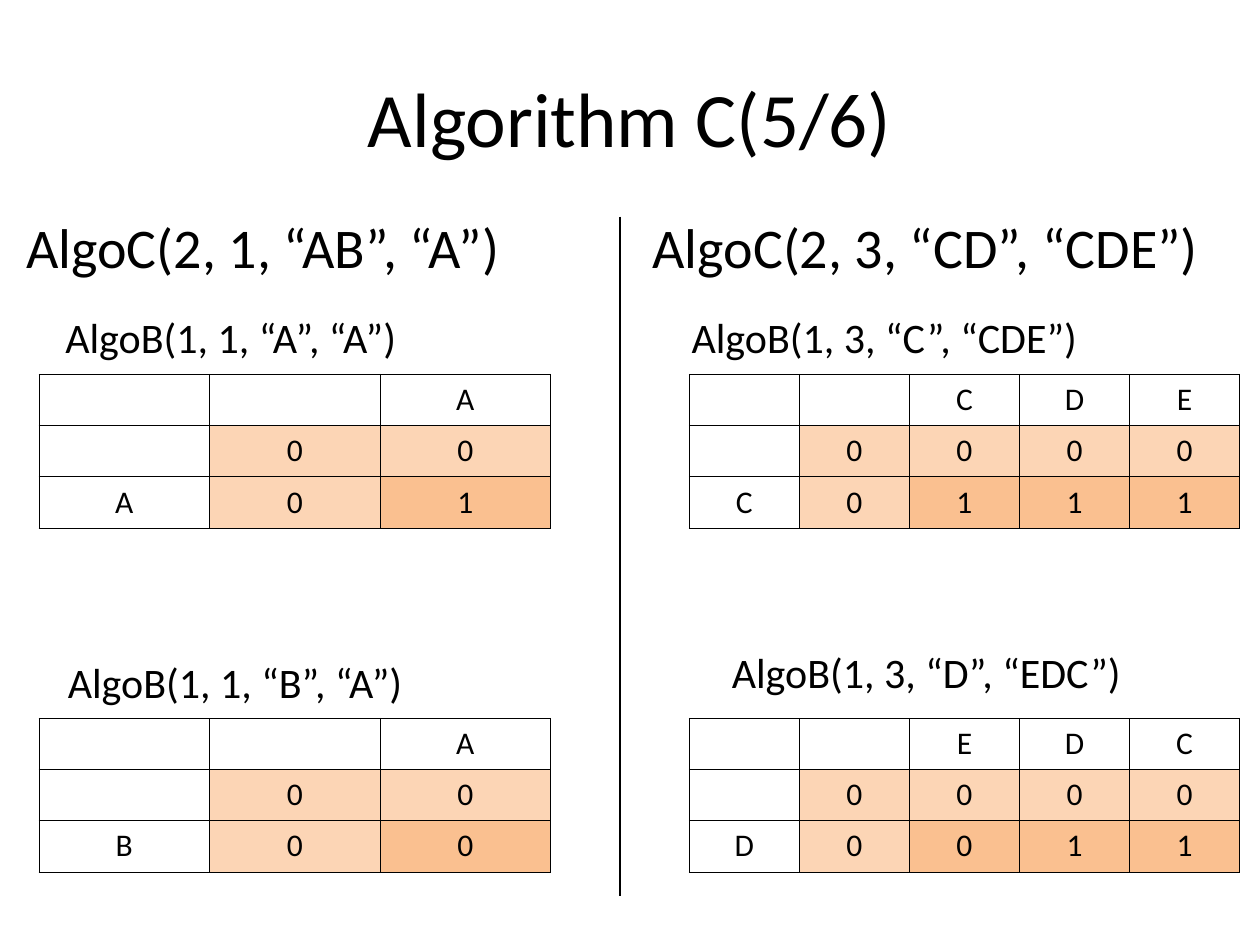
from lxml.etree import SubElement
from pptx import Presentation
from pptx.dml.color import RGBColor
from pptx.enum.shapes import MSO_CONNECTOR
from pptx.enum.text import MSO_ANCHOR, MSO_AUTO_SIZE, PP_ALIGN
from pptx.oxml import parse_xml
from pptx.oxml.ns import nsdecls, qn
from pptx.util import Inches, Pt

BLACK, LIGHT_ORANGE, ORANGE = "000000", "FCD5B5", "FAC090"


def color(value):
    return RGBColor.from_string(value)


class SlideBuilder:
    font_name = "Calibri"
    row_height = 0.407
    border_width = Pt(0.45)

    def __init__(self, page):
        self.page = page

    def format_para(self, para, size, align):
        para.alignment = align
        for span in para.runs:
            span.font.name = self.font_name
            span.font.size = Pt(size)
            span.font.color.rgb = color(BLACK)

    def title(self, text):
        box = self.page.shapes.title
        box.left, box.top = Inches(0.5), Inches(0.3)
        box.width, box.height = Inches(9), Inches(1.25)
        box.text_frame.text = text
        box.text_frame.vertical_anchor = MSO_ANCHOR.MIDDLE
        self.format_para(box.text_frame.paragraphs[0], 44, PP_ALIGN.CENTER)

    def label(self, text, left, top, width, height, size):
        box = self.page.shapes.add_textbox(
            Inches(left), Inches(top), Inches(width), Inches(height))
        frame = box.text_frame
        frame.word_wrap = False
        frame.auto_size = MSO_AUTO_SIZE.SHAPE_TO_FIT_TEXT
        frame.text = text
        self.format_para(frame.paragraphs[0], size, PP_ALIGN.LEFT)

    def border(self, cell):
        properties = cell._tc.get_or_add_tcPr()
        for index, side in enumerate(("lnL", "lnR", "lnT", "lnB")):
            properties.insert(index, parse_xml(
                f'<a:{side} {nsdecls("a")} w="{self.border_width}"><a:solidFill>'
                f'<a:srgbClr val="{BLACK}"/></a:solidFill></a:{side}>'))

    def fill_cell(self, cell, row, column):
        """Leave headings clear, tint the zero row and column, and darken the results."""
        if row == 0 or column == 0:
            cell.fill.background()
        else:
            cell.fill.solid()
            cell.fill.fore_color.rgb = color(
                ORANGE if row > 1 and column > 1 else LIGHT_ORANGE)

    def matrix(self, rows, left, top, width):
        columns = len(rows[0])
        table = self.page.shapes.add_table(
            len(rows), columns, Inches(left), Inches(top),
            Inches(width), Inches(self.row_height * len(rows))).table
        table.first_row = table.horz_banding = False
        for column in table.columns:
            column.width = Inches(width / columns)
        for r, values in enumerate(rows):
            for c, value in enumerate(values):
                cell = table.cell(r, c)
                cell.text_frame.text = value
                self.format_para(cell.text_frame.paragraphs[0], 18, PP_ALIGN.CENTER)
                self.fill_cell(cell, r, c)
                self.border(cell)

    def divider(self, x, top, bottom):
        line = self.page.shapes.add_connector(
            MSO_CONNECTOR.STRAIGHT, Inches(x), Inches(top), Inches(x), Inches(bottom))
        line.line.color.rgb = color(BLACK)
        line.line.width = Pt(0.75)
        SubElement(line._element.spPr, qn("a:effectLst"))


def lcs_rows(letters, row_letter, results):
    """Add the heading row and the zero row and column around the results."""
    return [["", "", *letters],
            ["", *"0" * (len(letters) + 1)],
            [row_letter, "0", *results]]


def main():
    deck = Presentation()
    deck.slide_width, deck.slide_height = Inches(10), Inches(7.5)
    slide = SlideBuilder(deck.slides.add_slide(deck.slide_layouts[5]))

    slide.title("Algorithm C(5/6)")
    slide.label("AlgoC(2, 1, “AB”, “A”)", 0.11, 1.64, 4.1, 0.64, 32)
    slide.label("AlgoC(2, 3, “CD”, “CDE”)", 5.08, 1.64, 4.58, 0.64, 32)

    slide.label("AlgoB(1, 1, “A”, “A”)", 0.42, 2.42, 2.94, 0.5, 24)
    slide.label("AlgoB(1, 1, “B”, “A”)", 0.44, 5.16, 2.93, 0.5, 24)
    slide.label("AlgoB(1, 3, “C”, “CDE”)", 5.39, 2.42, 3.28, 0.5, 24)
    slide.label("AlgoB(1, 3, “D”, “EDC”)", 5.71, 5.08, 3.31, 0.5, 24)

    upper, lower = 2.97, 5.7
    left_column, right_column = (0.31, 4.06), (5.47, 4.37)
    for (left, width), top, letters, row_letter, results in (
            (left_column, upper, "A", "A", "1"),
            (left_column, lower, "A", "B", "0"),
            (right_column, upper, "CDE", "C", "111"),
            (right_column, lower, "EDC", "D", "011")):
        slide.matrix(lcs_rows(letters, row_letter, results), left, top, width)

    slide.divider(4.92, 1.72, 7.11)
    deck.save("out.pptx")


if __name__ == "__main__":
    main()
